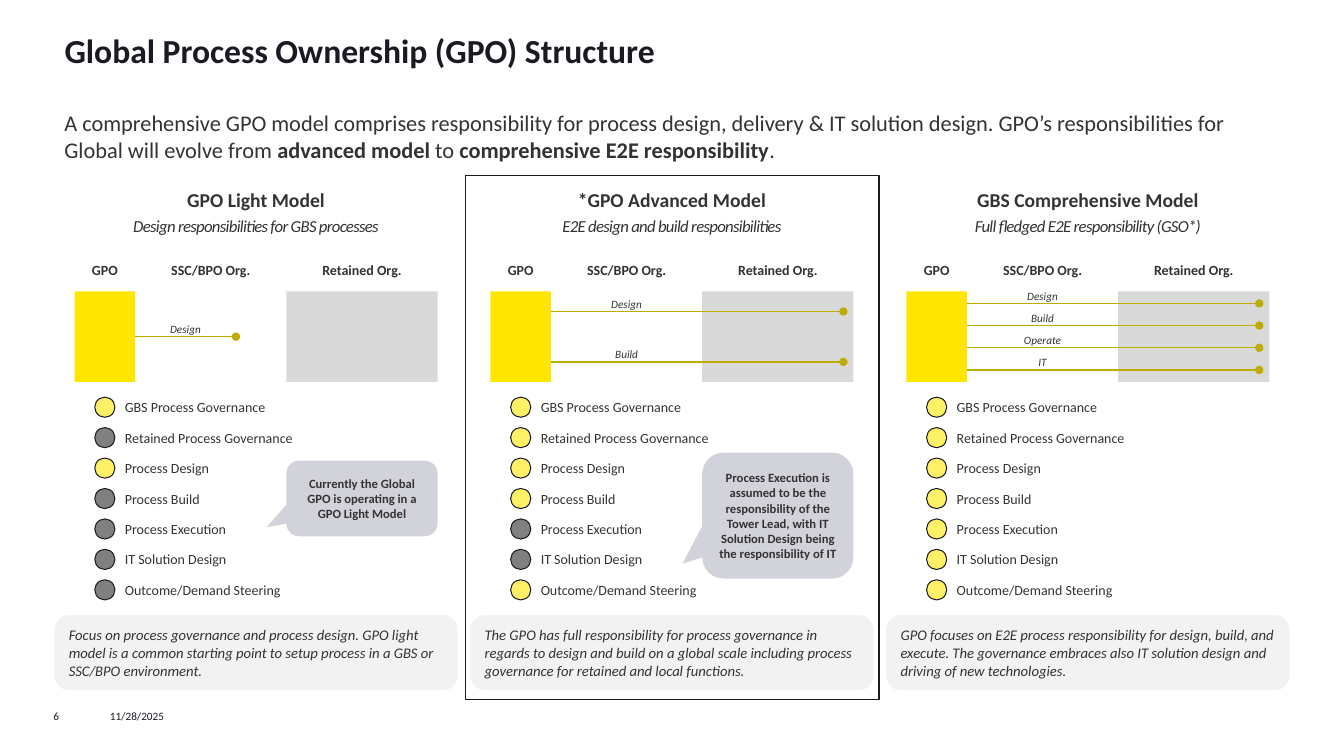
"""Builds the slide that compares three Global Process Ownership models."""
import dataclasses
from typing import Optional

import lxml.etree
import pptx
import pptx.dml.color
import pptx.enum.shapes
import pptx.enum.text
import pptx.oxml.ns
import pptx.shapes.autoshape
import pptx.slide
import pptx.text.text
import pptx.util

SHAPE = pptx.enum.shapes.MSO_SHAPE
ALIGN = pptx.enum.text.PP_ALIGN
ANCHOR = pptx.enum.text.MSO_ANCHOR

CELL = 0.1
MARGIN = 5.4
PANEL_PITCH = 41.25
PANEL_WIDTH = 40
FULL_WIDTH = 122.5
BAR_TOP = 28.9
BAR_HEIGHT = 9
DUTY_TOP = 39.4
DUTY_PITCH = 3.02
DOT = 2

FONT = "Calibri"
INK = "1A1A24"
TEXT = "333333"
YELLOW = "FFE600"
GREY = "D9D9D9"
OLIVE = "BFAC00"
OWNED = "FFF066"
NOT_OWNED = "808080"
CALLOUT = "D2D2DA"
PANEL = "F2F2F2"

DUTIES = ("GBS Process Governance", "Retained Process Governance", "Process Design",
          "Process Build", "Process Execution", "IT Solution Design",
          "Outcome/Demand Steering")


@dataclasses.dataclass(frozen=True)
class Area:
    """A rectangle in grid columns and rows."""
    left: float
    top: float
    width: float
    height: float


@dataclasses.dataclass(frozen=True)
class Organisation:
    """A heading over the bar, and its block if it has one."""
    name: str
    left: float
    width: float
    fill: Optional[str]


@dataclasses.dataclass(frozen=True)
class Flows:
    """Evenly spaced responsibility lines that start at the GPO block."""
    names: tuple[str, ...]
    top: float
    pitch: float
    reach: float
    label_centre: float


@dataclasses.dataclass(frozen=True)
class Note:
    """A callout beside the list of duties."""
    text: str
    top: float
    height: float


@dataclasses.dataclass(frozen=True)
class Model:
    """One of the three ownership models."""
    name: str
    tagline: str
    flows: Flows
    missing: tuple[str, ...]
    summary: str
    note: Optional[Note] = None


ORGANISATIONS = (Organisation("GPO", 2, 6, YELLOW),
                 Organisation("SSC/BPO Org.", 8, 15, None),
                 Organisation("Retained Org.", 23, 15, GREY))

MODELS = (
    Model("GPO Light Model", "Design responsibilities for GBS processes",
          Flows(("Design",), 33.4, 0, 10, 5),
          ("Retained Process Governance", "Process Build", "Process Execution",
           "IT Solution Design", "Outcome/Demand Steering"),
          "Focus on process governance and process design. GPO light model is a common "
          "starting point to setup process in a GBS or SSC/BPO environment.",
          Note("Currently the Global GPO is operating in a GPO Light Model", 45.7, 7.5)),
    Model("*GPO Advanced Model", "E2E design and build responsibilities",
          Flows(("Design", "Build"), 30.9, 5, 29, 7.5),
          ("Process Execution", "IT Solution Design"),
          "The GPO has full responsibility for process governance in regards to design and "
          "build on a global scale including process governance for retained and local "
          "functions.",
          Note("Process Execution is assumed to be the responsibility of the Tower Lead, "
               "with IT Solution Design being the responsibility of IT", 44.9, 12.5)),
    Model("GBS Comprehensive Model", "Full fledged E2E responsibility (GSO*)",
          Flows(("Design", "Build", "Operate", "IT"), 30.1, 2.2, 29, 7.5), (),
          "GPO focuses on E2E process responsibility for design, build, and execute. The "
          "governance embraces also IT solution design and driving of new technologies."),
)


def cells(count: float) -> pptx.util.Length:
    """Convert grid cells to a length."""
    return pptx.util.Inches(count * CELL)


def colour(code: str) -> pptx.dml.color.RGBColor:
    """Convert a hex string to a colour."""
    return pptx.dml.color.RGBColor.from_string(code)


def bounds(area: Area) -> tuple[pptx.util.Length, ...]:
    """Convert an area to slide lengths."""
    return tuple(cells(count) for count in dataclasses.astuple(area))


def add_para(frame: pptx.text.text.TextFrame, text: str, *, size: float, code: str = TEXT,
             bold: bool = False, italic: bool = False, align: ALIGN = ALIGN.LEFT,
             before: float = 0, spacing: float = 0) -> None:
    """Write a paragraph, with ** around the spans whose weight is switched."""
    para = frame.paragraphs[0]
    if para.runs:
        para = frame.add_paragraph()
    para.alignment = align
    para.space_before = pptx.util.Pt(before)
    for index, part in enumerate(text.split("**")):
        span = para.add_run()
        span.text = part
        span.font.name = FONT
        span.font.size = pptx.util.Pt(size)
        span.font.bold = bold != (index % 2 == 1)
        span.font.italic = italic
        span.font.color.rgb = colour(code)
        if spacing:
            span.font._element.set("spc", str(round(spacing * 100)))


def add_box(page: pptx.slide.Slide, area: Area, *, inset: Optional[float] = None,
            anchor: ANCHOR = ANCHOR.MIDDLE) -> pptx.text.text.TextFrame:
    """Add a wrapping text box and return its frame."""
    frame = page.shapes.add_textbox(*bounds(area)).text_frame
    frame.word_wrap = True
    frame.vertical_anchor = anchor
    if inset is not None:
        frame.margin_left = frame.margin_right = cells(inset)
        frame.margin_top = frame.margin_bottom = cells(inset)
    return frame


def add_block(page: pptx.slide.Slide, kind: SHAPE, area: Area, *, fill: Optional[str] = None,
              outline: Optional[str] = None, weight: float = 1,
              adjust: tuple[float, ...] = ()) -> pptx.shapes.autoshape.Shape:
    """Add a flat preset shape."""
    block = page.shapes.add_shape(kind, *bounds(area))
    block.shadow.inherit = False
    if fill:
        block.fill.solid()
        block.fill.fore_color.rgb = colour(fill)
    else:
        block.fill.background()
    if outline:
        block.line.color.rgb = colour(outline)
        block.line.width = pptx.util.Pt(weight)
    else:
        block.line.fill.background()
    for index, value in enumerate(adjust):
        block.adjustments[index] = value
    block.text_frame.word_wrap = True
    block.text_frame.vertical_anchor = ANCHOR.MIDDLE
    return block


def add_flow(page: pptx.slide.Slide, left: float, top: float, reach: float) -> None:
    """Add a responsibility line that ends in a dot."""
    flow = page.shapes.add_connector(pptx.enum.shapes.MSO_CONNECTOR.STRAIGHT, cells(left),
                                     cells(top), cells(left + reach), cells(top))
    flow.line.color.rgb = colour(OLIVE)
    flow.line.width = pptx.util.Pt(1)
    properties = flow._element.spPr
    outline = properties.find(pptx.oxml.ns.qn("a:ln"))
    lxml.etree.SubElement(outline, pptx.oxml.ns.qn("a:tailEnd"), type="oval")
    lxml.etree.SubElement(properties, pptx.oxml.ns.qn("a:effectLst"))


def add_bar(page: pptx.slide.Slide, left: float, flows: Flows) -> None:
    """Add the organisation bar and the flows across it."""
    for unit in ORGANISATIONS:
        frame = add_box(page, Area(left + unit.left, 25.5, unit.width, 2.5))
        add_para(frame, unit.name, size=10, bold=True, align=ALIGN.CENTER)
        if unit.fill:
            add_block(page, SHAPE.RECTANGLE, Area(left + unit.left, BAR_TOP, unit.width,
                                                  BAR_HEIGHT), fill=unit.fill)
    start = left + ORGANISATIONS[1].left
    for index, name in enumerate(flows.names):
        top = flows.top + index * flows.pitch
        add_flow(page, start, top, flows.reach)
        label = Area(start + flows.label_centre - 3, top - 1.5, 6, 1.5)
        add_para(add_box(page, label, inset=0), name, size=8, italic=True, align=ALIGN.CENTER)


def add_model(page: pptx.slide.Slide, left: float, model: Model) -> None:
    """Add one model's column."""
    heading = add_box(page, Area(left, 18, PANEL_WIDTH, 6))
    add_para(heading, model.name, size=14, bold=True, align=ALIGN.CENTER)
    add_para(heading, model.tagline, size=12, italic=True, align=ALIGN.CENTER, before=3,
             spacing=-0.5)
    add_bar(page, left, model.flows)
    for index, duty in enumerate(DUTIES):
        top = DUTY_TOP + index * DUTY_PITCH
        add_block(page, SHAPE.OVAL, Area(left + 4, top, DOT, DOT), outline=INK, weight=0.75,
                  fill=NOT_OWNED if duty in model.missing else OWNED)
        add_para(add_box(page, Area(left + 6, top, 22.5, DOT)), duty, size=10)
    summary = add_block(page, SHAPE.ROUNDED_RECTANGLE, Area(left, 61, PANEL_WIDTH, 7.5),
                        fill=PANEL, adjust=(0.2,))
    add_para(summary.text_frame, model.summary, size=10.5, italic=True)
    if model.note:
        callout = add_block(page, SHAPE.ROUNDED_RECTANGULAR_CALLOUT,
                            Area(left + 23, model.note.top, 15, model.note.height),
                            fill=CALLOUT, adjust=(-0.63, 0.38, 0.17))
        add_para(callout.text_frame, model.note.text, size=9, bold=True, align=ALIGN.CENTER)


def add_title(page: pptx.slide.Slide, text: str) -> None:
    """Place and format the title placeholder."""
    title = page.shapes.title
    title.left, title.top, title.width, title.height = bounds(Area(MARGIN, 2.5, FULL_WIDTH, 6))
    frame = title.text_frame
    frame.auto_size = pptx.enum.text.MSO_AUTO_SIZE.NONE
    frame.vertical_anchor = ANCHOR.TOP
    frame.margin_bottom = 0
    add_para(frame, text, size=24, code=INK, bold=True)


def main() -> None:
    """Build and save the deck."""
    deck = pptx.Presentation()
    deck.slide_width = pptx.util.Inches(13.33)
    deck.slide_height = pptx.util.Inches(7.5)
    page = deck.slides.add_slide(deck.slide_layouts[5])
    add_title(page, "Global Process Ownership (GPO) Structure")
    add_para(add_box(page, Area(MARGIN, 10, FULL_WIDTH, 7)),
             "A comprehensive GPO model comprises responsibility for process design, delivery "
             "& IT solution design. GPO’s responsibilities for Global will evolve from "
             "**advanced model** to **comprehensive E2E responsibility**.", size=16)
    for index, model in enumerate(MODELS):
        add_model(page, MARGIN + index * PANEL_PITCH, model)
    add_block(page, SHAPE.RECTANGLE, Area(46.2, 17.4, 41, 52), outline=INK)
    for text, left, width in (("6", 5.3, 5.6), ("11/28/2025", 10.9, 14)):
        frame = add_box(page, Area(left, 70.4, width, 1.3), inset=0, anchor=ANCHOR.TOP)
        add_para(frame, text, size=8, code=INK)
    deck.save("out.pptx")


if __name__ == "__main__":
    main()
